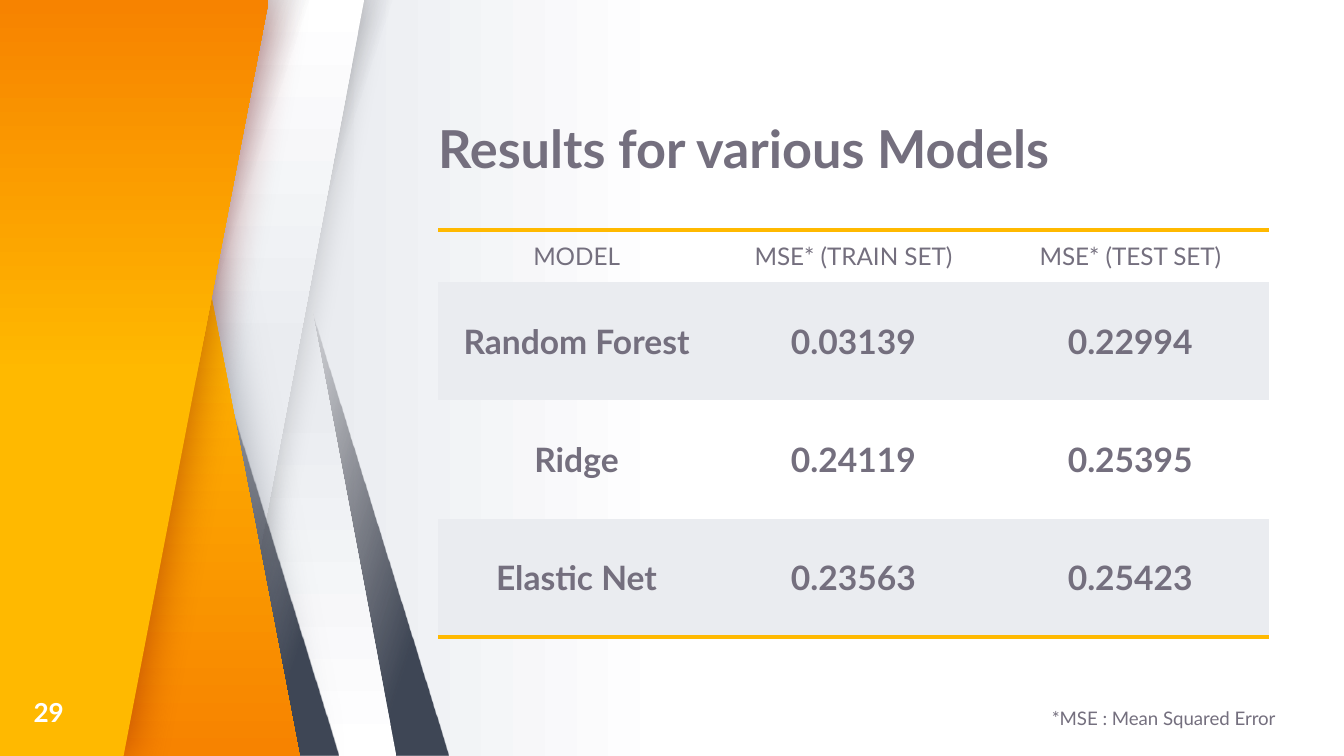
"""Build a slide with a table of model errors beside a folded ribbon."""
from pptx import Presentation, util as u
from pptx.dml.color import RGBColor
from pptx.enum import shapes, text
from pptx.oxml import parse_xml
from pptx.oxml.ns import nsdecls, qn

C = {"text": "746F7E", "white": "FFFFFF", "pale": "EAECF0", "slate": "3E4655",
     "dark": "27252C", "yellow": "FFB900", "orange": "F78300",
     "black": "000000", "red": "7E0808"}
W = 10
H = W * 9 / 16
FADE = [(0, "slate", 100), (13, "slate", 100), (55, "dark", 0), (100, "dark", 0)]
SILVER = [(0, "white", 100), (47, "pale", 100), (100, "pale", 100)]
LOWER = [(0, "yellow", 100), (37, "yellow", 100), (100, "orange", 100)]
UPPER = [(0, "yellow", 100), (50, "yellow", 100), (100, "orange", 100)]
PAGE = [(0, "white", 100), (50, "white", 100), (76, "pale", 100), (100, "pale", 100)]


def set_gradient(parent, stops, angle):
    """Put a linear gradient in the place of the solid fill of parent."""
    gs = "".join(f'<a:gs pos="{pos * 1000}"><a:srgbClr val="{C[name]}">'
                 f'<a:alpha val="{alpha * 1000}"/></a:srgbClr></a:gs>'
                 for pos, name, alpha in stops)
    parent.replace(parent.find(qn("a:solidFill")), parse_xml(
        f'<a:gradFill rotWithShape="1" {nsdecls("a")}><a:gsLst>{gs}</a:gsLst>'
        f'<a:lin ang="{angle * 60000}" scaled="0"/></a:gradFill>'))


def write(tf, words, size, color="text", bold=False, align="LEFT", spacing=1.0):
    """Write one formatted paragraph into a text frame."""
    p = tf.paragraphs[0]
    p.alignment = getattr(text.PP_ALIGN, align)
    p.line_spacing = spacing
    r = p.add_run()
    r.text = words
    for key, value in {"name": "Lato", "size": u.Pt(size), "bold": bold}.items():
        setattr(r.font, key, value)
    r.font.color.rgb = RGBColor.from_string(C[color])


prs = Presentation()
prs.slide_width, prs.slide_height = u.Inches(W), u.Inches(H)
s = prs.slides.add_slide(prs.slide_layouts[5])
s.background.fill.solid()
set_gradient(s._element.find(".//" + qn("p:bgPr")), PAGE, 180)

ribbons = [
    (1.04, 0.753, True, FADE, 342, None),
    (0.65, 0.463, True, SILVER, 270, None),
    (0.65, 0.753, False, FADE, 18, None),
    (0.41, 0.463, False, SILVER, 90, ("black", 20, 16.9)),
    (0.22, 0.753, True, FADE, 342, None),
    ([(0, 0), (0, H), (2.23, H), (1.15, 0)], None, False, LOWER, 90, ("slate", 50, 24.8)),
    (0.03, 0.753, False, FADE, 18, None),
    ([(0, H), (0, 0), (2, 0), (0.92, H)], None, False, UPPER, 270, ("red", 50, 24.8)),
]
for place, slant, flip, stops, angle, shadow in ribbons:
    if slant is None:
        points = [(u.Inches(x), u.Inches(y)) for x, y in place]
        builder = s.shapes.build_freeform(*points[0])
        builder.add_line_segments(points[1:], close=True)
        sp = builder.convert_to_shape()
    else:
        sp = s.shapes.add_shape(shapes.MSO_SHAPE.PARALLELOGRAM, u.Inches(place), 0,
                                u.Inches(2.3), u.Inches(H))
        sp.adjustments[0] = slant
    spPr = sp._element.spPr
    if flip:
        spPr.find(qn("a:xfrm")).set("flipH", "1")
    sp.fill.solid()
    set_gradient(spPr, stops, angle)
    sp.line.fill.background()
    sp.shadow.inherit = False
    if shadow:
        name, alpha, blur = shadow
        spPr.find(qn("a:effectLst")).append(parse_xml(
            f'<a:outerShdw blurRad="{u.Pt(blur)}" dist="0" dir="0" algn="ctr" '
            f'rotWithShape="0" {nsdecls("a")}><a:srgbClr val="{C[name]}">'
            f'<a:alpha val="{alpha * 1000}"/></a:srgbClr></a:outerShdw>'))

title = s.shapes.title
s.shapes._spTree.append(title._element)

rows = [("MODEL", "MSE* (TRAIN SET)", "MSE* (TEST SET)"),
        ("Random Forest", "0.03139", "0.22994"),
        ("Ridge", "0.24119", "0.25395"),
        ("Elastic Net", "0.23563", "0.25423")]
heights = [0.39, 0.88, 0.88, 0.88]
table = s.shapes.add_table(4, 3, u.Inches(3.26), u.Inches(1.71),
                           u.Inches(6.18), u.Inches(sum(heights))).table
table.first_row = table.horz_banding = False
table._tbl.tblPr.find(qn("a:tableStyleId")).text = "{2D5ABB26-0587-4C30-8999-92F81FD0307C}"
for col in table.columns:
    col.width = u.Inches(2.06)
edges = {0: "lnT", 3: "lnB"}
for i, row in enumerate(rows):
    table.rows[i].height = u.Inches(heights[i])
    for j, words in enumerate(row):
        cell = table.cell(i, j)
        for key, value in {"margin_left": 0.1, "margin_right": 0.1,
                           "margin_top": 0.07, "margin_bottom": 0.07}.items():
            setattr(cell, key, u.Inches(value))
        cell.vertical_anchor = text.MSO_ANCHOR.MIDDLE
        write(cell.text_frame, words, 18 if i else 13, bold=i > 0, align="CENTER")
        if i % 2:
            cell.fill.solid()
            cell.fill.fore_color.rgb = RGBColor.from_string(C["pale"])
        else:
            cell.fill.background()
        if i in edges:
            cell._tc.tcPr.insert(0, parse_xml(
                f'<a:{edges[i]} w="{u.Pt(2.25)}" {nsdecls("a")}><a:solidFill>'
                f'<a:srgbClr val="{C["yellow"]}"/></a:solidFill></a:{edges[i]}>'))

number = s.shapes.add_textbox(0, 0, 0, 0)
note = s.shapes.add_textbox(0, 0, 0, 0)
labels = [
    (title, (3.26, 0.91, 5.98, 0.43), "BOTTOM", "Results for various Models",
     {"size": 28, "bold": True, "spacing": 0.9}),
    (number, (0.25, 5.16, 0.4, 0.27), "MIDDLE", "29",
     {"size": 14, "color": "white", "bold": True}),
    (note, (3.51, 5, 5.98, 0.43), "BOTTOM", "*MSE : Mean Squared Error",
     {"size": 10, "align": "RIGHT", "spacing": 0.9}),
]
for sp, box, anchor, words, style in labels:
    for key, value in zip(("left", "top", "width", "height"), box):
        setattr(sp, key, u.Inches(value))
    tf = sp.text_frame
    for key, value in {"word_wrap": True, "auto_size": text.MSO_AUTO_SIZE.NONE,
                       "vertical_anchor": getattr(text.MSO_ANCHOR, anchor),
                       "margin_left": 0, "margin_right": 0,
                       "margin_top": 0, "margin_bottom": 0}.items():
        setattr(tf, key, value)
    write(tf, words, **style)

prs.save("out.pptx")
